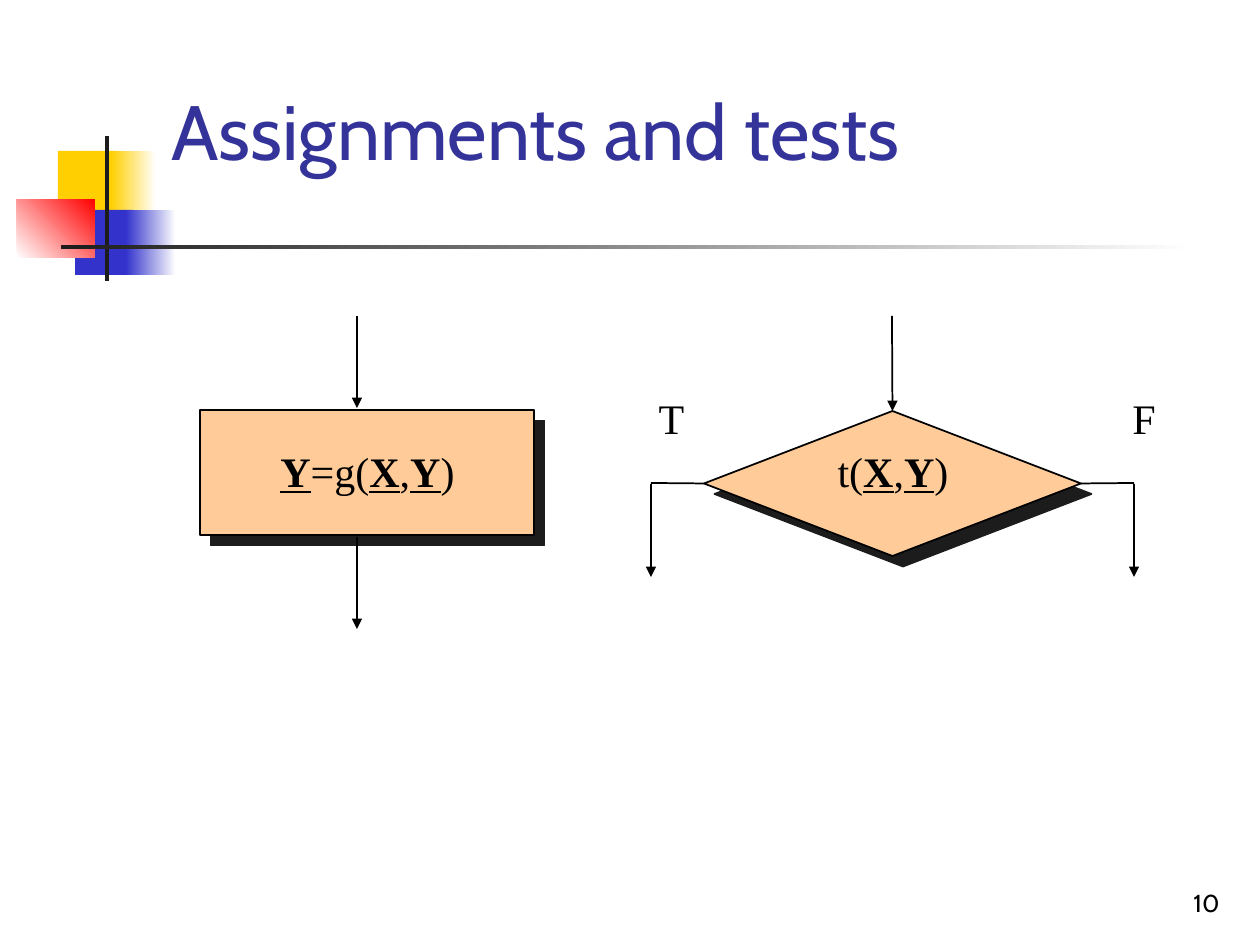
import pptx
import pptx.util
import pptx.dml.color
import pptx.enum.shapes
import pptx.enum.text
import pptx.oxml
import pptx.oxml.ns
from lxml import etree

SCALE = 914400 / 126
SHAPE = pptx.enum.shapes.MSO_SHAPE
ALIGN = pptx.enum.text.PP_ALIGN
ANCHOR = pptx.enum.text.MSO_ANCHOR
SERIF = "Times New Roman"


def px(n):
    """Turn pixels into EMU."""
    return pptx.util.Emu(round(n * SCALE))


def rgb(color):
    """Turn a hex string into a colour."""
    return pptx.dml.color.RGBColor.from_string(color)


def child(parent, tag, **attrs):
    """Append a DrawingML element and return it."""
    return etree.SubElement(parent, pptx.oxml.ns.qn("a:" + tag), attrs)


def add_block(s, box, color, end=None, angle=0):
    """Add a borderless rectangle, with a gradient if it has an end colour."""
    sp = s.shapes.add_shape(SHAPE.RECTANGLE, *map(px, box))
    sp.shadow.inherit = False
    sp.line.fill.background()
    if end:
        sp.fill.gradient()
        sp.fill.gradient_angle = angle
        for stop, c in zip(sp.fill.gradient_stops, (color, end)):
            stop.color.rgb = rgb(c)
    else:
        sp.fill.solid()
        sp.fill.fore_color.rgb = rgb(color)


def add_node(s, kind, box):
    """Add a flowchart node with a hard offset shadow."""
    sp = s.shapes.add_shape(kind, *map(px, box))
    sp.fill.solid()
    sp.fill.fore_color.rgb = rgb("FFCC99")
    sp.line.color.rgb = rgb("000000")
    sp.line.width = pptx.util.Pt(1)
    sp.shadow.inherit = False
    effects = sp._element.spPr.find(pptx.oxml.ns.qn("a:effectLst"))
    shadow = child(effects, "outerShdw", blurRad="0", dist="107950",
                   dir="2700000", algn="ctr", rotWithShape="0")
    child(shadow, "srgbClr", val="1C1C1C")
    return sp


def add_text(s, box, runs, size, font, color="000000", align=ALIGN.CENTER,
             anchor=ANCHOR.TOP, wrap=False):
    """Add a text box from (text, is_vector) runs; vectors are bold underlined."""
    tf = s.shapes.add_textbox(*map(px, box)).text_frame
    tf.word_wrap = wrap
    tf.vertical_anchor = anchor
    if not wrap:
        tf.auto_size = pptx.enum.text.MSO_AUTO_SIZE.SHAPE_TO_FIT_TEXT
    p = tf.paragraphs[0]
    p.alignment = align
    p.font.size = pptx.util.Pt(size)
    p.font.name = font
    p.font.color.rgb = rgb(color)
    for text, is_vector in runs:
        r = p.add_run()
        r.text = text
        if is_vector:
            r.font.bold = r.font.underline = True


def add_line(s, x1, y1, x2, y2, arrow=True):
    """Add a thin black line, by default with an arrowhead at its end."""
    line = s.shapes.add_connector(pptx.enum.shapes.MSO_CONNECTOR.STRAIGHT,
                                  *map(px, (x1, y1, x2, y2)))
    line.line.width = pptx.util.Pt(1)
    line.line.color.rgb = rgb("000000")
    if arrow:
        child(line.line._get_or_add_ln(), "tailEnd", type="triangle")
    child(line._element.spPr, "effectLst")
    return line


def add_decoration(s):
    """Add the coloured squares and the rules beside the title."""
    add_block(s, (58, 151, 60, 66), "FFCF01")
    add_block(s, (111, 151, 45, 66), "FFCF01", "FFFFFF")
    add_block(s, (75, 210, 58, 65), "3333CC")
    add_block(s, (126, 210, 50, 65), "3333CC", "FFFFFF")
    add_block(s, (17, 199, 78, 59), "FFFFFF", "FF0000", 45)
    add_block(s, (105, 136, 4, 145), "1C1C1C")
    add_block(s, (61, 245, 1134, 4), "1C1C1C", "FFFFFF")


def add_assignment(s):
    """Add the assignment node with its arrows."""
    add_node(s, SHAPE.RECTANGLE, (200, 410, 334, 125))
    add_text(s, (268, 439, 199, 63),
             [("Y", True), ("=g(", False), ("X", True), (",", False),
              ("Y", True), (")", False)], 24, SERIF)
    for top in (316, 537):
        add_line(s, 357, top, 357, top + 92)


def add_test(s):
    """Add the test node with its entry and two branches."""
    node = add_node(s, SHAPE.DIAMOND, (704, 411, 377, 145))
    add_text(s, (825, 439, 136, 63),
             [("t(", False), ("X", True), (",", False), ("Y", True),
              (")", False)], 24, SERIF)
    add_line(s, 892, 316, 892, 411).end_connect(node, 0)
    branches = [("F", 1134, 1081, 3, 1120, 48), ("T", 651, 704, 1, 646, 51)]
    for label, x, corner, site, left, width in branches:
        add_line(s, x, 483, corner, 483, arrow=False).end_connect(node, site)
        add_line(s, x, 484, x, 577)
        add_text(s, (left, 386, width, 63), [(label, False)], 24, SERIF)


def main():
    """Build the slide and save it."""
    prs = pptx.Presentation()
    prs.slide_width, prs.slide_height = px(1260), px(945)
    s = prs.slides.add_slide(prs.slide_layouts[6])
    add_decoration(s)
    add_text(s, (970, 861, 262, 63), [("10", False)], 14, "Cabin",
             align=ALIGN.RIGHT, anchor=ANCHOR.BOTTOM, wrap=True)
    add_text(s, (159, 29, 1073, 202), [("Assignments and tests", False)], 44,
             "Cabin", "333399", ALIGN.LEFT, ANCHOR.MIDDLE, True)
    add_assignment(s)
    add_test(s)
    prs.save("out.pptx")


if __name__ == "__main__":
    main()
